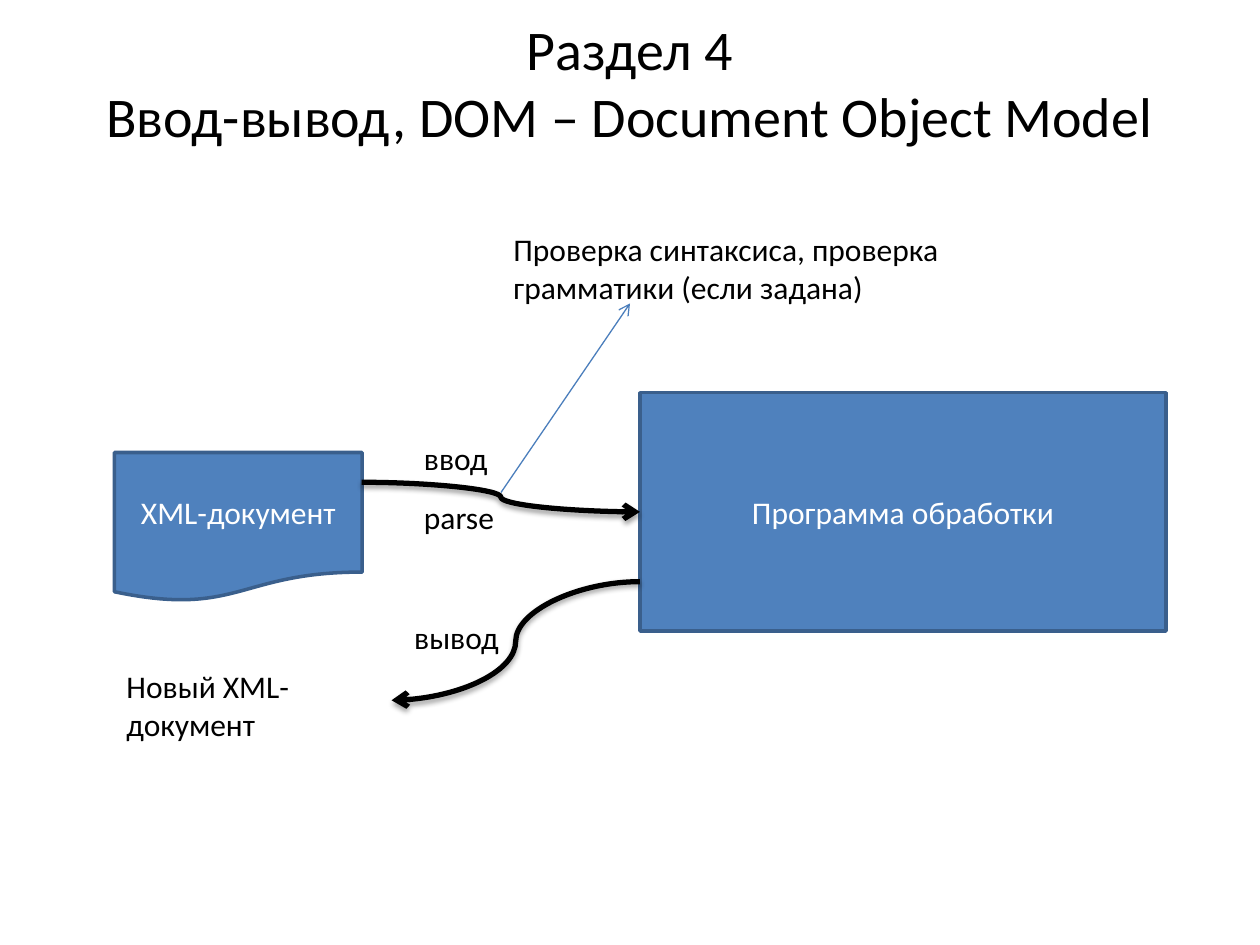
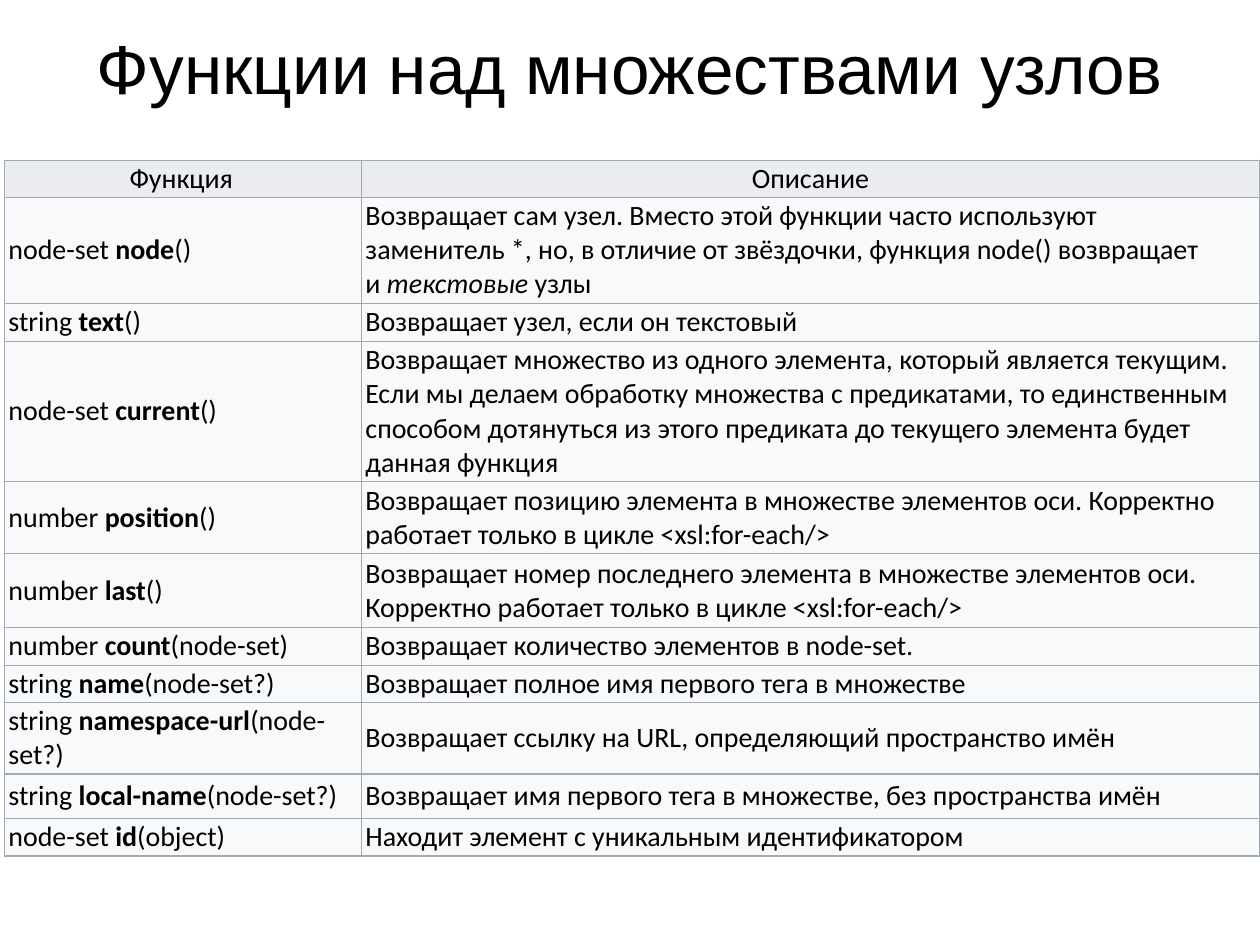
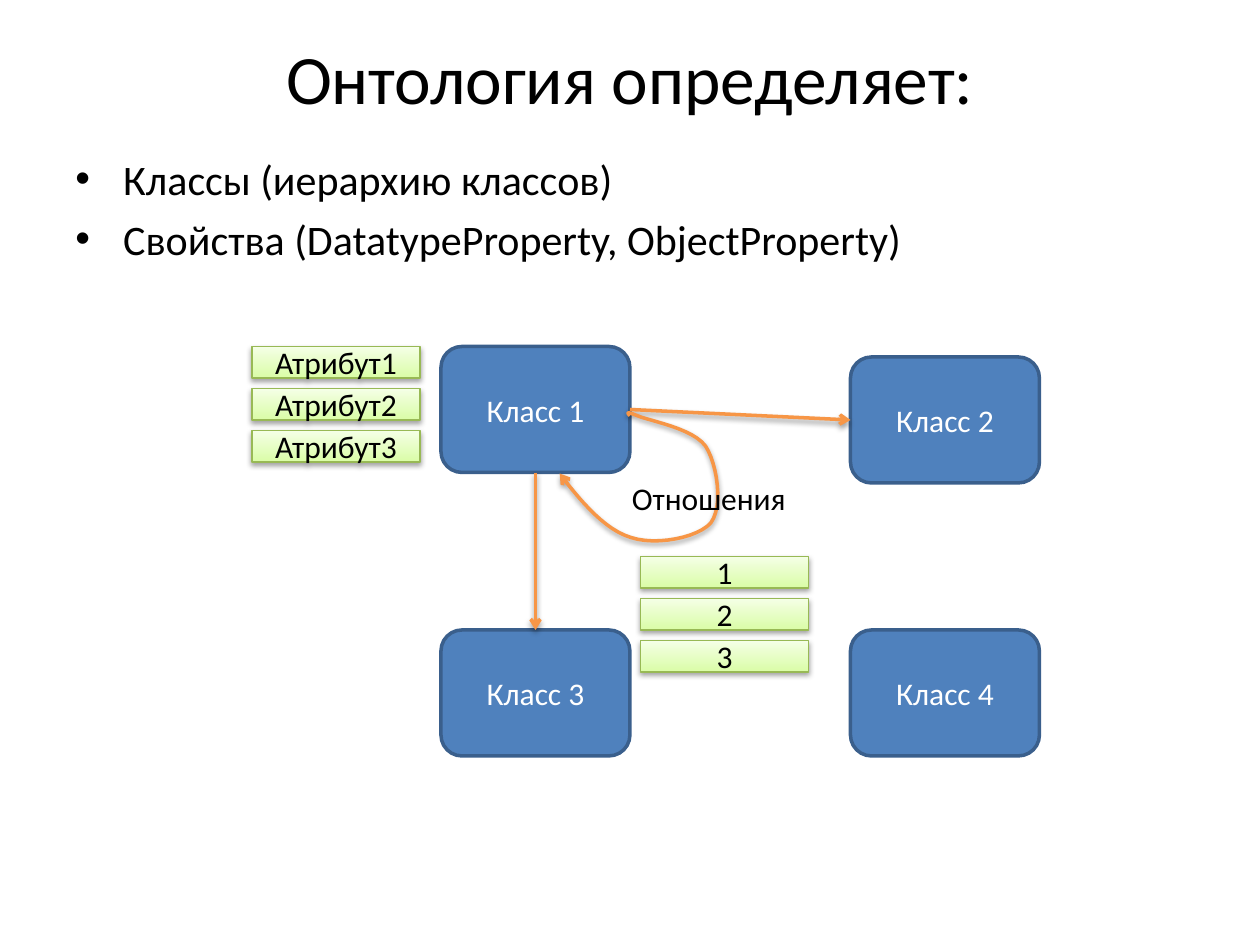
from lxml.etree import SubElement
from pptx import Presentation
from pptx.dml.color import RGBColor
from pptx.enum.shapes import MSO_CONNECTOR, MSO_SHAPE
from pptx.enum.text import MSO_ANCHOR, PP_ALIGN
from pptx.oxml.ns import qn
from pptx.util import Inches, Pt

COLUMNS, ROWS = 120, 90
SLIDE_W, SLIDE_H = Inches(10), Inches(7.5)
BODY_FONT, ALT_FONT = "Calibri", "Arial"
NBSP = chr(160)

BLACK = RGBColor(0x00, 0x00, 0x00)
WHITE = RGBColor(0xFF, 0xFF, 0xFF)
BLUE = RGBColor(0x4F, 0x81, 0xBD)
DARK_BLUE = RGBColor(0x3A, 0x5F, 0x8C)
LINE_BLUE = RGBColor(0x4B, 0x7E, 0xBC)
ORANGE = RGBColor(0xF7, 0x96, 0x46)
GREEN = RGBColor(0x98, 0xB9, 0x55)
LIME = RGBColor(0xDA, 0xFD, 0xA7)
PALE_LIME = RGBColor(0xF5, 0xFF, 0xE7)
HEADER_GREY = RGBColor(0xEA, 0xEC, 0xF0)
ROW_GREY = RGBColor(0xF8, 0xF9, 0xFA)
BORDER_GREY = RGBColor(0xA2, 0xA9, 0xB1)

RECT = MSO_SHAPE.RECTANGLE
ROUNDED = MSO_SHAPE.ROUNDED_RECTANGLE
DOCUMENT = MSO_SHAPE.FLOWCHART_DOCUMENT
STRAIGHT, CURVE = MSO_CONNECTOR.STRAIGHT, MSO_CONNECTOR.CURVE
LEFT, CENTER = PP_ALIGN.LEFT, PP_ALIGN.CENTER
TOP, MIDDLE = MSO_ANCHOR.TOP, MSO_ANCHOR.MIDDLE

HEADER_HEIGHT = 3.52
FUNCTIONS = [
    ("node-set", "node", "()", [
        (f"Возвращает сам узел. Вместо этой функции часто используют заменитель{NBSP}*, но, "
         f"в отличие от звёздочки, функция{NBSP}node(){NBSP}возвращает и{NBSP}", ""),
        ("текстовые", "i"), (f"{NBSP}узлы", "")], 10.1),
    ("string", "text", "()", [("Возвращает узел, если он текстовый", "")], 3.62),
    ("node-set", "current", "()", [
        ("Возвращает множество из одного элемента, который является текущим. "
         "Если мы делаем обработку множества с предикатами, то единственным способом "
         "дотянуться из этого предиката до текущего элемента будет данная функция", "")], 13.38),
    ("number", "position", "()", [
        ("Возвращает позицию элемента в множестве элементов оси. "
         f"Корректно работает только в цикле{NBSP}<xsl:for-each/>", "")], 6.86),
    ("number", "last", "()", [
        ("Возвращает номер последнего элемента в множестве элементов оси. "
         f"Корректно работает только в цикле{NBSP}<xsl:for-each/>", "")], 7.05),
    ("number", "count", "(node-set)", [
        (f"Возвращает количество элементов в{NBSP}node-set.", "")], 3.57),
    ("string", "name", "(node-set?)", [
        ("Возвращает полное имя первого тега в множестве", "")], 3.57),
    ("string", "namespace-url", "(node-set?)", [
        ("Возвращает ссылку на URL, определяющий пространство имён", "")], 6.81),
    ("string", "local-name", "(node-set?)", [
        ("Возвращает имя первого тега в множестве, без пространства имён", "")], 4.24),
    ("node-set", "id", "(object)", [("Находит элемент с уникальным идентификатором", "")], 3.57),
]

LOOP_START = (60, 39.6)
LOOP_CURVES = [
    ((59.8, 39.4), (59.5, 39.1), (60.7, 39.6)),
    ((61.9, 40.1), (66, 40.8), (67.2, 42.5)),
    ((68.3, 44.2), (68.9, 48.2), (67.7, 49.8)),
    ((66.5, 51.2), (62.5, 52), (60.1, 51.2)),
    ((57.7, 50.5), (55.4, 47.9), (53.3, 45.1)),
]


def col(n):
    return round(SLIDE_W * n / COLUMNS)


def row(n):
    return round(SLIDE_H * n / ROWS)


def place(x, y, w, h):
    return col(x), row(y), col(w), row(h)


def add_run(p, text, size, color=BLACK, font=BODY_FONT, style=""):
    r = p.add_run()
    r.text = text
    r.font.size = Pt(size)
    r.font.name = font
    r.font.color.rgb = color
    r.font.bold = style == "b"
    r.font.italic = style == "i"


def add_text(slide, text, area, size=18, font=BODY_FONT, align=LEFT, anchor=TOP):
    tf = slide.shapes.add_textbox(*place(*area)).text_frame
    tf.word_wrap = True
    tf.vertical_anchor = anchor
    p = tf.paragraphs[0]
    p.alignment = align
    for i, line in enumerate(text.split("\n")):
        if i:
            p.add_line_break()
        add_run(p, line, size, font=font)


def add_title(slide, text, height, size=39.6, font=BODY_FONT):
    add_text(slide, text, (6, 3.6, 108, height), size, font, CENTER, MIDDLE)


def add_bullets(slide, items, area, size):
    tf = slide.shapes.add_textbox(*place(*area)).text_frame
    tf.word_wrap = True
    for i, item in enumerate(items):
        p = tf.add_paragraph() if i else tf.paragraphs[0]
        p.space_before = Pt(size * 0.23)
        add_run(p, item, size)
        pPr = p._p.get_or_add_pPr()
        pPr.set("marL", str(Inches(0.38)))
        pPr.set("indent", str(-Inches(0.38)))
        SubElement(pPr, qn("a:buFont"), typeface=ALT_FONT)
        SubElement(pPr, qn("a:buChar"), char="•")


def set_effects(sp, shadow=True):
    spPr = sp.element.spPr
    effects = spPr.find(qn("a:effectLst"))
    if effects is None:
        effects = SubElement(spPr, qn("a:effectLst"))
    if shadow:
        outer = SubElement(effects, qn("a:outerShdw"), blurRad=str(Pt(3.1)),
                           dist=str(Pt(1.7)), dir="5400000", rotWithShape="0")
        color = SubElement(outer, qn("a:srgbClr"), val=str(BLACK))
        SubElement(color, qn("a:alpha"), val="37000")


def set_arrow(sp, color, width):
    sp.line.color.rgb = color
    sp.line.width = Pt(width)
    SubElement(sp.element.spPr.find(qn("a:ln")), qn("a:tailEnd"), type="arrow")


def add_arrow(slide, start, end, color, width, kind=STRAIGHT, shadow=True):
    (x1, y1), (x2, y2) = start, end
    sp = slide.shapes.add_connector(kind, col(x1), row(y1), col(x2), row(y2))
    set_arrow(sp, color, width)
    set_effects(sp, shadow)


def add_box(slide, kind, text, area, line, width, text_color):
    sp = slide.shapes.add_shape(kind, *place(*area))
    sp.shadow.inherit = False
    sp.line.color.rgb = line
    sp.line.width = Pt(width)
    tf = sp.text_frame
    tf.word_wrap = True
    tf.vertical_anchor = MIDDLE
    tf.paragraphs[0].alignment = CENTER
    add_run(tf.paragraphs[0], text, 18, text_color)
    return sp


def add_block(slide, kind, text, area):
    sp = add_box(slide, kind, text, area, DARK_BLUE, 2, WHITE)
    sp.fill.solid()
    sp.fill.fore_color.rgb = BLUE


def add_attributes(slide, labels, x, y):
    for i, label in enumerate(labels):
        sp = add_box(slide, RECT, label, (x, y + 4 * i, 16, 3), GREEN, 0.75, BLACK)
        sp.fill.gradient()
        sp.fill.gradient_angle = 90
        for stop, color in zip(sp.fill.gradient_stops, (LIME, PALE_LIME)):
            stop.color.rgb = color
        set_effects(sp)


def bezier(points, t):
    u = 1 - t
    weights = (u ** 3, 3 * u * u * t, 3 * u * t * t, t ** 3)
    x, y = (sum(w * v for w, v in zip(weights, axis)) for axis in zip(*points))
    return col(x), row(y)


def add_loop(slide, start, curves, steps=12):
    builder = slide.shapes.build_freeform(col(start[0]), row(start[1]))
    for curve in curves:
        points = (start, *curve)
        builder.add_line_segments(
            [bezier(points, i / steps) for i in range(1, steps + 1)], close=False)
        start = curve[-1]
    sp = builder.convert_to_shape()
    sp.shadow.inherit = False
    sp.fill.background()
    set_arrow(sp, ORANGE, 2)
    set_effects(sp)


def fill_cell(cell, runs, fill, align=LEFT, right=0.03):
    cell.margin_left, cell.margin_right = Inches(0.03), Inches(right)
    cell.margin_top = cell.margin_bottom = Inches(0.01)
    cell.vertical_anchor = MIDDLE
    tcPr = cell._tc.get_or_add_tcPr()
    for side in ("a:lnL", "a:lnR", "a:lnT", "a:lnB"):
        ln = SubElement(tcPr, qn(side), w=str(Pt(0.75)))
        SubElement(SubElement(ln, qn("a:solidFill")), qn("a:srgbClr"), val=str(BORDER_GREY))
    cell.fill.solid()
    cell.fill.fore_color.rgb = fill
    p = cell.text_frame.paragraphs[0]
    p.alignment = align
    for text, style in runs:
        add_run(p, text, 16, style=style)


def add_function_table(slide):
    heights = [HEADER_HEIGHT] + [f[-1] for f in FUNCTIONS]
    widths = (34, 85.5)
    area = place(0.45, 15.25, sum(widths), sum(heights))
    table = slide.shapes.add_table(len(heights), len(widths), *area).table
    table.first_row = table.horz_banding = False
    for column, width in zip(table.columns, widths):
        column.width = col(width)
    for table_row, height in zip(table.rows, heights):
        table_row.height = row(height)
    for c, (heading, right) in enumerate([("Функция", 0.06), ("Описание", 0.03)]):
        fill_cell(table.cell(0, c), [(heading, "")], HEADER_GREY, CENTER, right)
    for i, (result, name, args, description, _) in enumerate(FUNCTIONS, 1):
        signature = [(result + NBSP, ""), (name, "b"), (args, "")]
        fill_cell(table.cell(i, 0), signature, ROW_GREY)
        fill_cell(table.cell(i, 1), description, ROW_GREY)


def build_dom_slide(slide):
    add_title(slide, "Раздел 4\nВвод-вывод, DOM – Document Object Model", 8.3, 32)
    add_block(slide, RECT, "Программа обработки", (60.95, 37.4, 50.1, 22.7))
    add_block(slide, DOCUMENT, "XML-документ", (10.9, 43.1, 23.6, 14.2))
    add_arrow(slide, (34.45, 45.93), (60.95, 48.75), BLACK, 3, CURVE)
    add_arrow(slide, (60.95, 55.4), (37.3, 66.7), BLACK, 3, CURVE)
    add_text(slide, "Новый XML-документ", (10.87, 62.95, 26.4, 8.5))
    add_text(slide, "ввод", (39.2, 41.25, 9.5, 4.8))
    add_text(slide, "parse", (39.2, 46.85, 11.3, 4.8))
    add_text(slide, "вывод", (38.27, 58.25, 12.2, 4.8))
    add_arrow(slide, (47.72, 46.9), (60, 28.9), LINE_BLUE, 0.75, shadow=False)
    add_text(slide, "Проверка синтаксиса, проверка грамматики (если задана)",
             (47.72, 21.35, 47.3, 8.5))


def build_functions_slide(slide):
    add_title(slide, "Функции над множествами узлов", 5.5, font=ALT_FONT)
    add_function_table(slide)


def build_ontology_slide(slide):
    add_title(slide, "Онтология определяет:", 7.4)
    add_bullets(slide, ["Классы (иерархию классов)",
                        "Свойства (DatatypeProperty, ObjectProperty)"], (6, 14, 108, 17), 24)
    for i, (x, y) in enumerate([(42, 33), (81, 34), (42, 60), (81, 60)], 1):
        add_block(slide, ROUNDED, f"Класс {i}", (x, y, 18, 12))
    add_attributes(slide, [f"Атрибут{i}" for i in (1, 2, 3)], 24, 33)
    add_arrow(slide, (60, 39), (81, 40), ORANGE, 2)
    add_arrow(slide, (51, 45), (51, 60), ORANGE, 2)
    add_loop(slide, LOOP_START, LOOP_CURVES)
    add_text(slide, "Отношения", (59, 45, 18, 4.8))
    add_attributes(slide, ["1", "2", "3"], 61, 53)


def main():
    prs = Presentation()
    prs.slide_width, prs.slide_height = SLIDE_W, SLIDE_H
    for build in (build_dom_slide, build_functions_slide, build_ontology_slide):
        build(prs.slides.add_slide(prs.slide_layouts[6]))
    prs.save("out.pptx")


if __name__ == "__main__":
    main()
